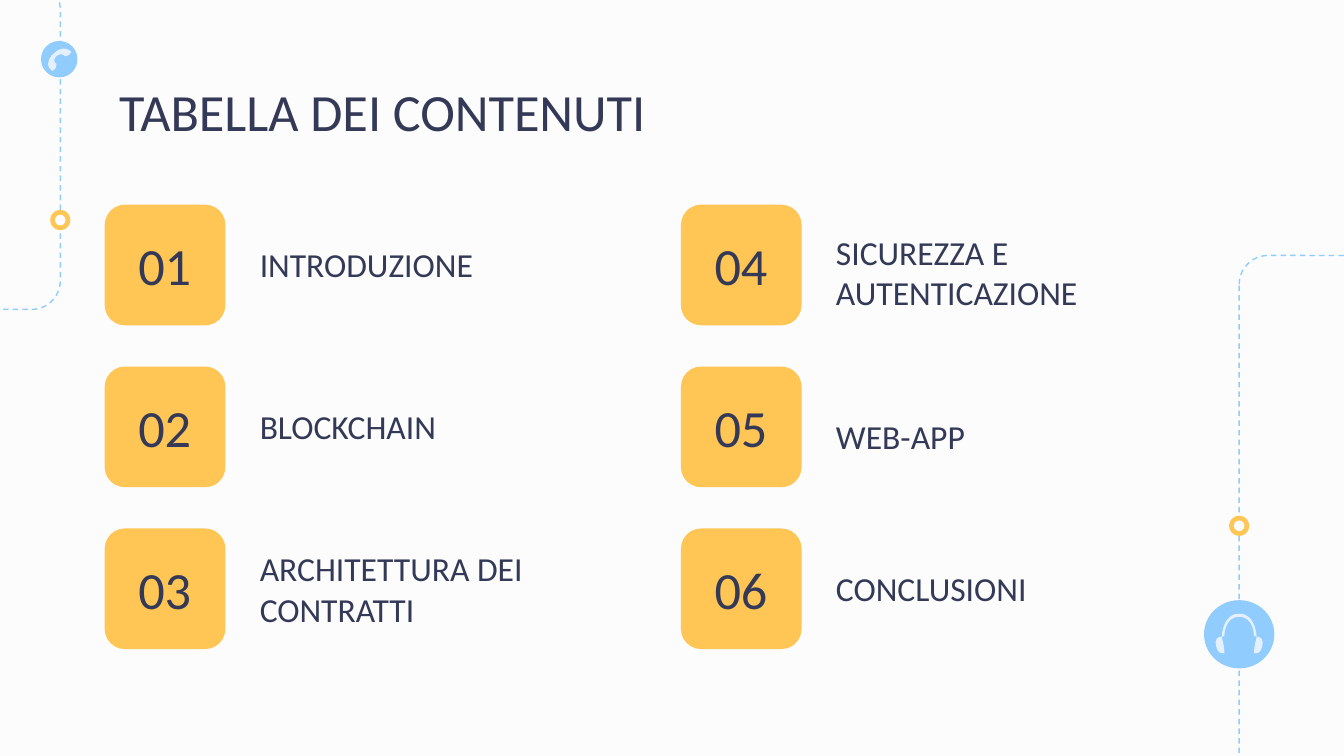
"""Build the table of contents slide with numbered tiles and dashed side tracks."""
from lxml.etree import SubElement
from pptx import Presentation
from pptx.dml.color import RGBColor
from pptx.enum.dml import MSO_LINE
from pptx.enum.shapes import MSO_SHAPE as SHAPE
from pptx.enum.text import MSO_ANCHOR as ANCHOR, PP_ALIGN as ALIGN
from pptx.oxml.ns import qn
from pptx.util import Cm, Pt

PAPER = RGBColor(0xFC, 0xFC, 0xFC)
INK = RGBColor(0x33, 0x39, 0x56)
YELLOW = RGBColor(0xFF, 0xC6, 0x55)
BLUE = RGBColor(0x91, 0xCC, 0xFF)
PALE = RGBColor(0xE5, 0xF0, 0xFF)

TILE = 2.28
LEFT, TOP = 1.98, 3.87
COL_STEP, ROW_STEP = 10.89, 3.06
ROWS = 3

ENTRIES = [
    ("INTRODUZIONE", 6.4, 0),
    ("BLOCKCHAIN", 6.4, 0),
    ("ARCHITETTURA DEI CONTRATTI", 6.4, 0.39),
    ("SICUREZZA E AUTENTICAZIONE", 8.2, 0.52),
    ("WEB-APP", 6.4, 0.18),
    ("CONCLUSIONI", 6.4, 0),
]

HANDSET = [
    (0.03, -0.19), (-0.05, -0.17), (-0.1, -0.11), (-0.1, -0.11),
    (-0.1, -0.11), (-0.18, -0.06), (-0.2, 0.04),
    (-0.23, 0.11), (-0.2, 0.17), (-0.13, 0.22),
    (-0.13, 0.22), (-0.05, 0.19), (-0.05, 0.09),
    (-0.05, 0.09), (-0.15, 0.04), (-0.05, -0.06),
    (0.05, -0.14), (0.1, -0.06), (0.1, -0.06),
    (0.1, -0.06), (0.18, -0.04), (0.23, -0.14),
    (0.18, -0.19), (0.1, -0.22), (0.03, -0.19),
]
EARCUP = [
    (-0.28, 0.36), (-0.33, 0.36), (-0.38, 0.36), (-0.41, 0.3),
    (-0.46, 0.2), (-0.46, 0.08), (-0.38, 0.05),
    (-0.36, 0.05), (-0.33, 0.05), (-0.33, 0.05),
    (-0.33, 0.08), (-0.28, 0.2), (-0.28, 0.36),
]
HEADBAND = [
    (0, -0.38), (-0.03, -0.41), (-0.3, -0.38), (-0.33, 0.05),
    (-0.28, 0.03), (-0.28, 0.03), (-0.28, 0.03),
    (-0.28, 0.03), (-0.28, -0.33), (0, -0.33),
    (0.28, -0.33), (0.28, 0.03), (0.28, 0.03),
    (0.33, 0.05), (0.33, 0.05), (0.33, 0.05),
    (0.3, -0.38), (0.03, -0.41), (0, -0.38),
]


def paint(sp, color):
    """Give a shape a flat fill without line or shadow."""
    sp.shadow.inherit = False
    sp.fill.solid()
    sp.fill.fore_color.rgb = color
    sp.line.fill.background()


def add_shape(s, kind, x, y, w, h, adj=None):
    """Add a preset shape, with its corner radius if one is given."""
    sp = s.shapes.add_shape(kind, Cm(x), Cm(y), Cm(w), Cm(h))
    if adj is not None:
        sp.adjustments[0] = adj
    return sp


def add_track(s, x, y, w, h):
    """Add a dashed rounded track."""
    sp = add_shape(s, SHAPE.ROUNDED_RECTANGLE, x, y, w, h, 0.14)
    sp.shadow.inherit = False
    sp.fill.background()
    sp.line.color.rgb = BLUE
    sp.line.width = Pt(0.75)
    sp.line.dash_style = MSO_LINE.DASH


def add_disc(s, cx, cy, w, h, color):
    """Add an ellipse around a centre point."""
    paint(add_shape(s, SHAPE.OVAL, cx - w / 2, cy - h / 2, w, h), color)


def add_ring(s, cx, cy):
    """Add a yellow track marker with a light core."""
    add_disc(s, cx, cy, 0.38, 0.38, YELLOW)
    add_disc(s, cx, cy, 0.2, 0.2, PAPER)


def add_glyph(s, cx, cy, points, flip=1):
    """Add a pale outline of cubic curves around a centre, optionally mirrored."""
    pts = [(Cm(cx + flip * x), Cm(cy + y)) for x, y in points]
    builder = s.shapes.build_freeform(*pts[0], scale=1.0)
    builder.add_line_segments(pts[1:], close=True)
    sp = builder.convert_to_shape()
    lines = list(sp.element.iter(qn("a:lnTo")))[:len(pts) - 1]
    for i in range(0, len(lines), 3):
        path = lines[i].getparent()
        curve = SubElement(path, qn("a:cubicBezTo"))
        path.replace(lines[i], curve)
        curve.append(lines[i][0])
        for line in lines[i + 1:i + 3]:
            curve.append(line[0])
            path.remove(line)
    paint(sp, PALE)


def add_text(s, text, x, y, w, h, size, anchor, align=ALIGN.LEFT):
    """Add a wrapped single-paragraph text box."""
    tf = s.shapes.add_textbox(Cm(x), Cm(y), Cm(w), Cm(h)).text_frame
    frame = {"word_wrap": True, "vertical_anchor": anchor}
    frame.update({f"margin_{side}": Cm(0.25) for side in ("left", "top", "right", "bottom")})
    for name, value in frame.items():
        setattr(tf, name, value)
    p = tf.paragraphs[0]
    p.alignment = align
    r = p.add_run()
    r.text = text
    for name, value in {"size": Pt(size), "name": "Calibri"}.items():
        setattr(r.font, name, value)
    r.font.color.rgb = INK


def add_decor(s):
    """Add the dashed tracks with their icons and markers."""
    add_track(s, 23.42, 4.83, 3.89, 11.02)
    add_track(s, -2.75, -0.36, 3.89, 6.21)
    add_disc(s, 23.42, 11.99, 1.33, 1.29, BLUE)
    for flip in (1, -1):
        add_glyph(s, 23.42, 11.99, EARCUP, flip)
    add_glyph(s, 23.42, 11.99, HEADBAND)
    add_disc(s, 1.12, 1.12, 0.69, 0.69, BLUE)
    add_glyph(s, 1.12, 1.12, HANDSET)
    add_ring(s, 1.14, 4.16)
    add_ring(s, 23.42, 9.94)


def add_entry(s, index, label, width, drop):
    """Add one numbered tile and its label at its grid place."""
    col, row = divmod(index, ROWS)
    x, y = LEFT + col * COL_STEP, TOP + row * ROW_STEP
    paint(add_shape(s, SHAPE.ROUNDED_RECTANGLE, x, y, TILE, TILE, 0.167), YELLOW)
    add_text(s, f"{index + 1:02}", x + 0.12, y + 0.52, 2.03, 1.24, 28,
             ANCHOR.MIDDLE, ALIGN.CENTER)
    add_text(s, label, x + 2.68, y + 0.52 + drop, width, 1.24, 18, ANCHOR.BOTTOM)


def main():
    """Build and save the slide."""
    prs = Presentation()
    prs.slide_width, prs.slide_height = Cm(25.4), Cm(14.29)
    s = prs.slides.add_slide(prs.slide_layouts[6])
    s.background.fill.solid()
    s.background.fill.fore_color.rgb = PAPER
    add_decor(s)
    add_text(s, "TABELLA DEI CONTENUTI", 2, 1.24, 21.41, 1.6, 28, ANCHOR.TOP)
    for index, entry in enumerate(ENTRIES):
        add_entry(s, index, *entry)
    prs.save("out.pptx")


if __name__ == "__main__":
    main()
